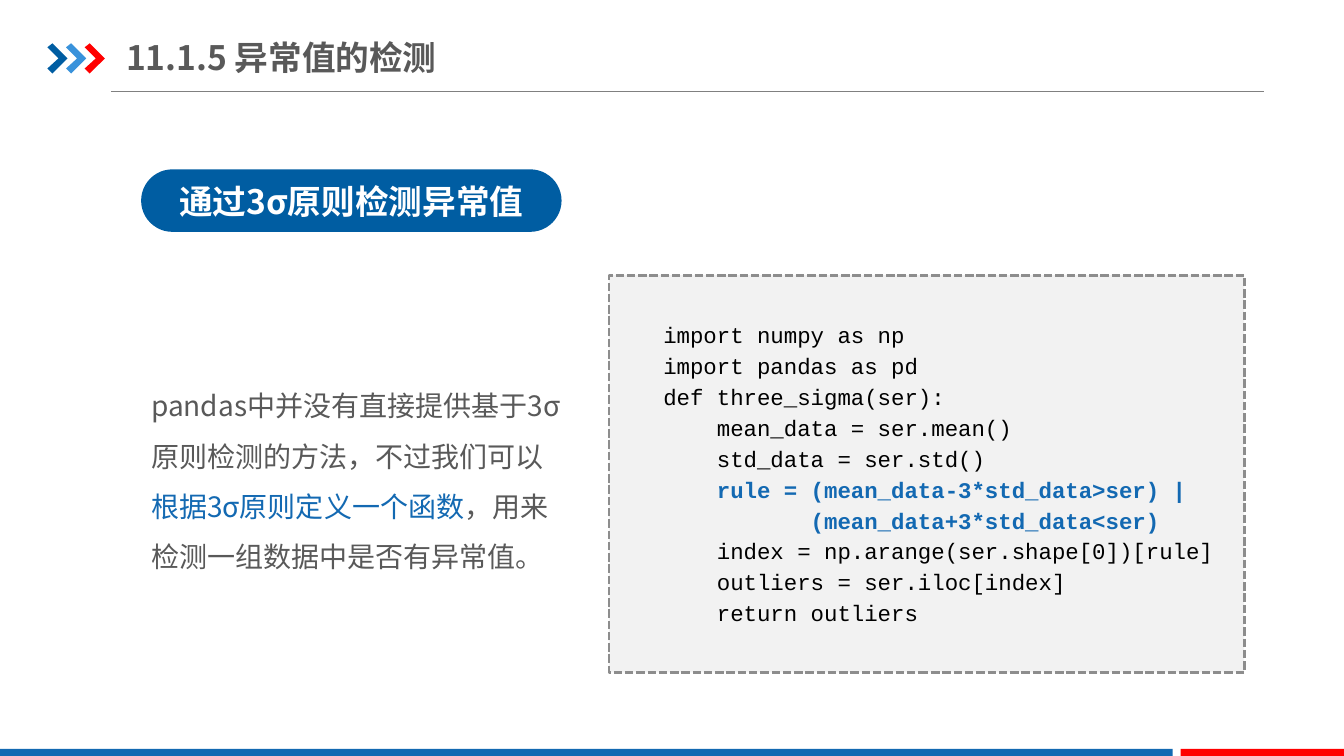
import pptx
import pptx.dml.color
import pptx.enum.dml
import pptx.enum.shapes
import pptx.enum.text
import pptx.oxml
import pptx.oxml.ns
import pptx.util
from lxml import etree

Inches = pptx.util.Inches
Pt = pptx.util.Pt
SHAPES = pptx.enum.shapes.MSO_SHAPE
ALIGN = pptx.enum.text.PP_ALIGN
ANCHOR = pptx.enum.text.MSO_ANCHOR

COLORS = {
    "navy": "005DA2", "sky": "3992DB", "blue": "1369B2", "red": "FF0000",
    "text": "595959", "white": "FFFFFF", "black": "000000",
    "rule": "808080", "panel": "F2F2F2", "dash": "8D8D8D",
}
SANS, MONO = "Noto Sans CJK SC", "Courier New"


class SlideBuilder:
    """Holds the colours and the slide, and draws each kind of element."""

    def __init__(self, slide, colors):
        self.shapes = slide.shapes
        self.colors = colors

    def rgb(self, name):
        return pptx.dml.color.RGBColor.from_string(self.colors[name])

    def paint(self, shape, fill):
        shape.shadow.inherit = False
        shape.fill.solid()
        shape.fill.fore_color.rgb = self.rgb(fill)
        shape.line.fill.background()
        return shape

    def box(self, left, top, width, height, fill, kind=SHAPES.RECTANGLE):
        shape = self.shapes.add_shape(
            kind, Inches(left), Inches(top), Inches(width), Inches(height))
        return self.paint(shape, fill)

    def rule(self, left, right, y, color, weight):
        line = self.shapes.add_connector(
            pptx.enum.shapes.MSO_CONNECTOR.STRAIGHT,
            Inches(left), Inches(y), Inches(right), Inches(y))
        line.line.color.rgb = self.rgb(color)
        line.line.width = Pt(weight)
        etree.SubElement(line._element.spPr, pptx.oxml.ns.qn("a:effectLst"))

    def chevron(self, left, top, fill):
        outline = [(0, 0.04), (0.05, 0), (0.2, 0.15), (0.05, 0.3), (0, 0.25), (0.11, 0.15)]
        points = [(Inches(left + x), Inches(top + y)) for x, y in outline]
        builder = self.shapes.build_freeform(*points[0], scale=1.0)
        builder.add_line_segments(points[1:], close=True)
        self.paint(builder.convert_to_shape(), fill)

    def text_box(self, left, top, width, height, grow=False):
        frame = self.shapes.add_textbox(
            Inches(left), Inches(top), Inches(width), Inches(height)).text_frame
        frame.word_wrap = True
        if grow:
            frame.auto_size = pptx.enum.text.MSO_AUTO_SIZE.SHAPE_TO_FIT_TEXT
        return frame

    def set_text(self, paragraph, runs, size, face, bold=False, spacing=None, indent=None):
        """Fill a paragraph with (text, colour) runs in one font."""
        if spacing:
            paragraph.line_spacing = spacing
        if indent:
            properties = paragraph._p.get_or_add_pPr()
            properties.set("marL", "0")
            properties.set("indent", str(Inches(indent)))
        font = paragraph.font
        font.size, font.name, font.bold = Pt(size), face, bold
        default = paragraph._p.pPr.find(pptx.oxml.ns.qn("a:defRPr"))
        etree.SubElement(default, pptx.oxml.ns.qn("a:ea"), typeface=face)
        if len(runs) == 1:
            font.color.rgb = self.rgb(runs[0][1])
        for text, color in runs:
            run = paragraph.add_run()
            run.text = text
            if len(runs) > 1:
                run.font.color.rgb = self.rgb(color)


def main():
    deck = pptx.Presentation()
    deck.slide_width, deck.slide_height = Inches(13.33), Inches(7.5)
    page = SlideBuilder(deck.slides.add_slide(deck.slide_layouts[6]), COLORS)

    # Header: rule, chevrons and title
    page.rule(1.1, 12.54, 0.91, "rule", 0.75)
    for index, color in enumerate(["navy", "sky", "red"]):
        page.chevron(0.47 + index * 0.37 / 2, 0.43, color)
    title = page.text_box(1.25, 0.29, 4.55, 0.55)
    title.margin_left = title.margin_right = 0
    title.margin_top = title.margin_bottom = Inches(0.07)
    title.vertical_anchor = ANCHOR.MIDDLE
    page.set_text(title.paragraphs[0], [("11.1.5 异常值的检测", "text")], 24, SANS, bold=True)

    # Footer bars
    for left, width, color in [(0, 11.63, "blue"), (11.71, 1.63, "red")]:
        page.box(left, 7.43, width, 0.09, color)

    # Topic pill
    topic = page.box(1.4, 1.68, 4.17, 0.62, "navy", SHAPES.ROUNDED_RECTANGLE)
    topic.adjustments[0] = 0.5
    topic.text_frame.word_wrap = True
    topic.text_frame.vertical_anchor = ANCHOR.MIDDLE
    heading = topic.text_frame.paragraphs[0]
    heading.alignment = ALIGN.CENTER
    page.set_text(heading, [("通过3σ原则检测异常值", "white")], 24, SANS, bold=True)

    # Explanation
    explanation = page.text_box(1.4, 3.64, 4.29, 2.12, grow=True)
    page.set_text(explanation.paragraphs[0], [
        ("pandas中并没有直接提供基于3σ原则检测的方法，不过我们可以", "text"),
        ("根据3σ原则定义一个函数", "blue"),
        ("，用来检测一组数据中是否有异常值。", "text"),
    ], 20, SANS, spacing=1.5)

    # Code panel
    panel = page.box(6.04, 2.73, 6.3, 3.94, "panel")
    panel.line.color.rgb = page.rgb("dash")
    panel.line.width = Pt(2)
    panel.line.dash_style = pptx.enum.dml.MSO_LINE.SQUARE_DOT
    code_lines = [
        ("import numpy as np", False),
        ("import pandas as pd", False),
        ("def three_sigma(ser):", False),
        ("    mean_data = ser.mean()", False),
        ("    std_data = ser.std()", False),
        ("    rule = (mean_data-3*std_data>ser) |", True),
        ("           (mean_data+3*std_data<ser)", True),
        ("    index = np.arange(ser.shape[0])[rule]", False),
        ("    outliers = ser.iloc[index]", False),
        ("    return outliers", False),
    ]
    code = page.text_box(6.19, 3.1, 5.98, 3.2, grow=True)
    for number, (text, key_line) in enumerate(code_lines):
        paragraph = code.add_paragraph() if number else code.paragraphs[0]
        page.set_text(paragraph, [(text, "blue" if key_line else "black")],
                      16, MONO, bold=key_line, spacing=1.15, indent=0.29)

    deck.save("out.pptx")


if __name__ == "__main__":
    main()
